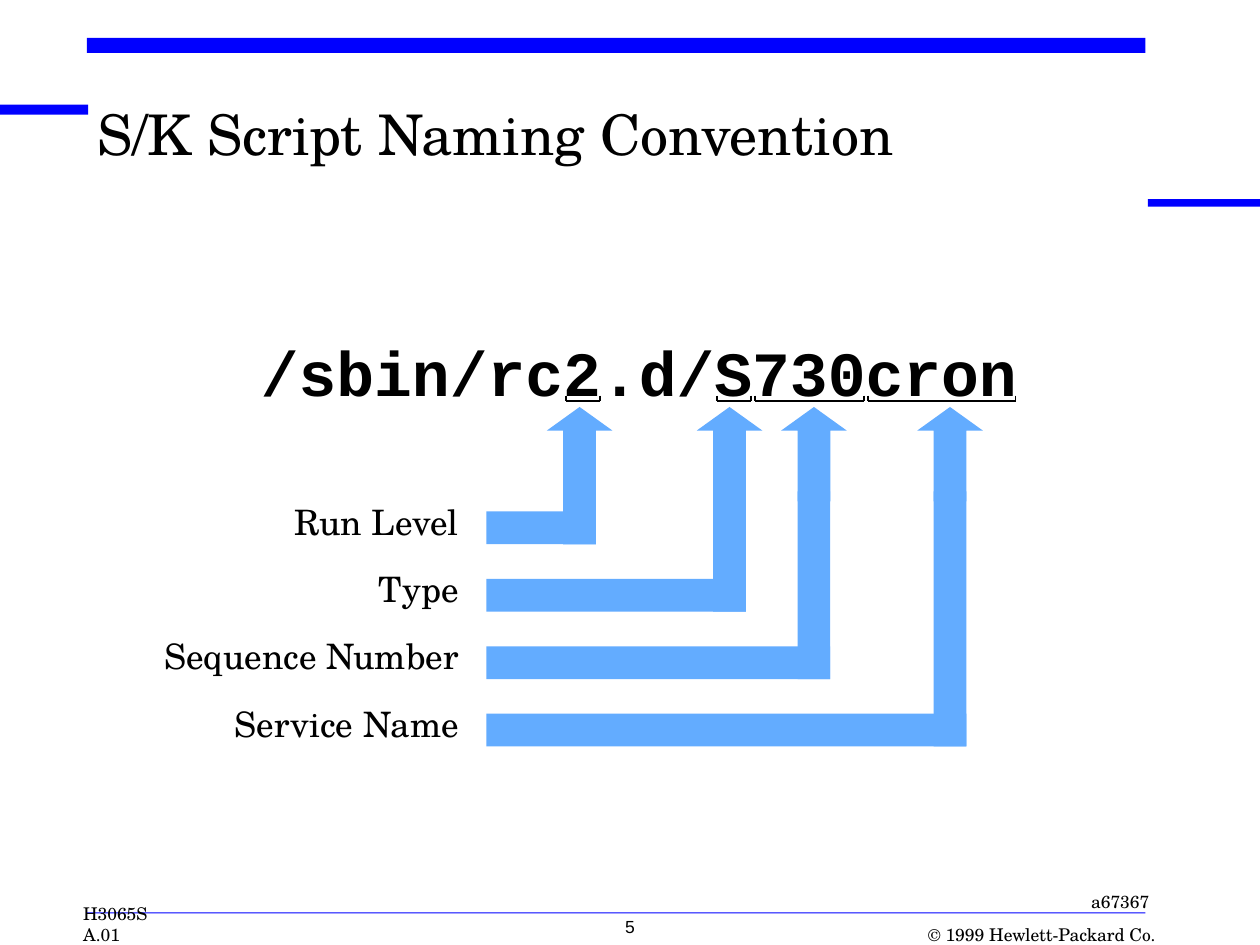
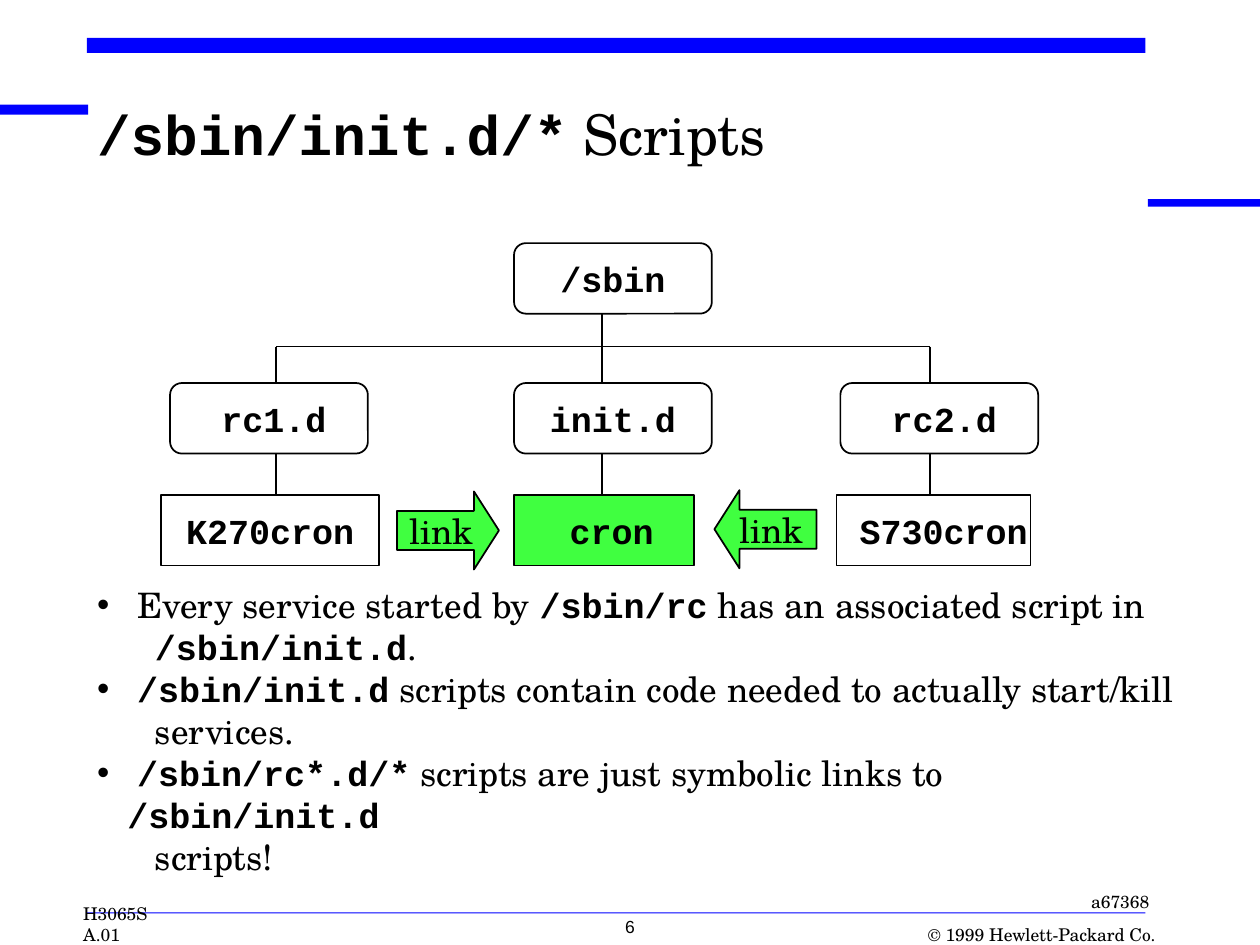
"""Build two slides on start-up script naming and the init.d directory."""
from dataclasses import dataclass

from lxml import etree
from pptx import Presentation
from pptx import util as u
from pptx.dml.color import RGBColor
from pptx.enum import shapes, text
from pptx.oxml.ns import qn

SLIDE_W, SLIDE_H = u.Inches(10), u.Inches(7.5)
CELL = SLIDE_W / 10
KIND, ALIGN, ANCHOR = shapes.MSO_SHAPE, text.PP_ALIGN, text.MSO_ANCHOR


@dataclass(frozen=True)
class Theme:
    """Hold the colours, fonts and type sizes of the deck."""
    ink: str = "000000"
    paper: str = "FFFFFF"
    band: str = "0000FF"
    pointer: str = "63ACFF"
    highlight: str = "40FF40"
    serif: str = "TeX Gyre Schola"
    mono: str = "Courier New"
    sans: str = "Arial"
    title: int = 32
    path_name: int = 36
    body: int = 20
    small: int = 10
    rule: int = 1


THEME = Theme()


def cells(*counts):
    """Turn counts of grid cells into lengths."""
    return [u.Emu(round(count * CELL)) for count in counts]


def style_font(font, size=None, face=None, bold=None):
    """Apply theme ink and the given type settings."""
    font.color.rgb = RGBColor.from_string(THEME.ink)
    if size:
        font.size = u.Pt(size)
    if face:
        font.name = face
    font.bold = bold


def set_frame(frame, insets, anchor):
    """Set wrapping, margins in cells and the vertical anchor."""
    frame.word_wrap = True
    frame.auto_size = text.MSO_AUTO_SIZE.NONE
    frame.vertical_anchor = anchor
    (frame.margin_left, frame.margin_top,
     frame.margin_right, frame.margin_bottom) = cells(*insets)


def write_line(frame, wording, size, face, align, bold=False):
    """Write a single line in one font."""
    line = frame.paragraphs[0]
    line.text = wording
    line.alignment = align
    style_font(line.font, size, face, bold)


def write_mixed(paragraph, pieces, size):
    """Write alternating prose and code; code pieces start with a slash."""
    style_font(paragraph.font, size)
    for piece in pieces:
        run = paragraph.add_run()
        run.text = piece
        is_code = piece.startswith("/")
        style_font(run.font, size, THEME.mono if is_code else THEME.serif, is_code)


def add_label(slide, place, wording, size=THEME.small, face=THEME.serif,
              align=ALIGN.LEFT, bold=False, insets=(0.1, 0.05, 0.1, 0.05),
              anchor=ANCHOR.TOP):
    """Add a one-line text box."""
    label = slide.shapes.add_textbox(*cells(*place))
    set_frame(label.text_frame, insets, anchor)
    write_line(label.text_frame, wording, size, face, align, bold)


def add_block(slide, kind, place, fill, outlined=False):
    """Add a flat preset shape."""
    block = slide.shapes.add_shape(kind, *cells(*place))
    block.shadow.inherit = False
    block.fill.solid()
    block.fill.fore_color.rgb = RGBColor.from_string(fill)
    if outlined:
        block.line.color.rgb = RGBColor.from_string(THEME.ink)
        block.line.width = u.Pt(THEME.rule)
    else:
        block.line.fill.background()
    return block


def add_rule(slide, *ends):
    """Add a thin straight line."""
    rule = slide.shapes.add_connector(shapes.MSO_CONNECTOR.STRAIGHT, *cells(*ends))
    rule.line.color.rgb = RGBColor.from_string(THEME.ink)
    rule.line.width = u.Pt(THEME.rule)
    etree.SubElement(rule._element.spPr, qn("a:effectLst"))


def add_page(deck, layout, title_pieces, code, number):
    """Start a slide with its bands, title and footer."""
    slide = deck.slides.add_slide(deck.slide_layouts[layout])
    for band in ((0, 0.83, 0.7, 0.08), (0.69, 0.3, 8.4, 0.12),
                 (9.11, 1.58, 0.89, 0.06), (0.69, 7.24, 8.4, 0.01)):
        add_block(slide, KIND.RECTANGLE, band, THEME.band)
    title = slide.shapes.title
    title.left, title.top, title.width, title.height = cells(0.77, 0.87, 8.07, 0.67)
    set_frame(title.text_frame, (0, 0, 0, 0), ANCHOR.TOP)
    heading = title.text_frame.paragraphs[0]
    heading.alignment = ALIGN.LEFT
    heading.line_spacing = 0.85
    write_mixed(heading, title_pieces, THEME.title)
    for place, wording, align in (
            ((7.3, 7.33, 1.87, 0.17), "© 1999 Hewlett-Packard Co.", ALIGN.RIGHT),
            ((0.66, 7.16, 0.7, 0.34), "H3065S A.01", ALIGN.LEFT)):
        add_label(slide, place, wording, align=align,
                  insets=(0, 0, 0, 0), anchor=ANCHOR.BOTTOM)
    add_label(slide, (8.42, 7.02, 0.8, 0.27), code, align=ALIGN.RIGHT)
    add_label(slide, (3.96, 7.22, 2.08, 0.28), str(number),
              face=THEME.sans, align=ALIGN.CENTER)
    return slide


def add_bracket(slide, first, last):
    """Underline the characters from first up to last of the path name."""
    pitch, origin, top, bottom = 0.3, 2.09, 3.14, 3.18
    left, right = origin + pitch * first, origin + pitch * last - 0.03
    add_rule(slide, left, bottom, right, bottom)
    for side in (left, right):
        add_rule(slide, side, top, side, bottom)


def add_pointer(slide, row, wording, centre):
    """Add a label and the bent arrow that rises from it."""
    thick, bar_left, tip, neck = 0.26, 3.86, 3.23, 3.9
    middle = 4.19 + 0.535 * row
    right, bottom = centre + thick / 2, middle + thick / 2
    head = add_block(slide, KIND.UP_ARROW, (centre - thick, tip, 2 * thick, 0.75),
                     THEME.pointer)
    head.adjustments[0], head.adjustments[1] = 0.5, 0.36
    add_block(slide, KIND.RECTANGLE, (right - thick, neck, thick, bottom - neck),
              THEME.pointer)
    add_block(slide, KIND.RECTANGLE,
              (bar_left, bottom - thick, right - bar_left, thick), THEME.pointer)
    add_label(slide, (0.87, middle - 0.27, 2.87, 0.44), wording,
              THEME.body, align=ALIGN.RIGHT)


def add_node(slide, kind, place, wording, fill=THEME.paper, face=THEME.mono, shift=0):
    """Add an outlined shape with its name, moved right by shift."""
    node = add_block(slide, kind, place, fill, outlined=True)
    set_frame(node.text_frame, (2 * shift, 0, 0, 0), ANCHOR.MIDDLE)
    write_line(node.text_frame, wording, THEME.body, face, ALIGN.CENTER,
               face == THEME.mono)
    return node


def add_list(slide, place, items):
    """Fill the body with bulleted items and their indented last lines."""
    body = slide.placeholders[1]
    body.left, body.top, body.width, body.height = cells(*place)
    set_frame(body.text_frame, (0.1, 0.05, 0.1, 0.05), ANCHOR.TOP)
    lines = [(pieces, bulleted) for opening, ending in items
             for pieces, bulleted in ((opening, True), (ending, False))]
    for index, (pieces, bulleted) in enumerate(lines):
        line = body.text_frame.paragraphs[0] if index == 0 else body.text_frame.add_paragraph()
        line.space_before = u.Pt(0)
        margin, hang = cells(0.24, -0.24) if bulleted else cells(0.46, 0)
        properties = line._p.get_or_add_pPr()
        properties.set("marL", str(margin))
        properties.set("indent", str(hang))
        if bulleted:
            etree.SubElement(properties, qn("a:buChar")).set("char", "•")
        else:
            etree.SubElement(properties, qn("a:buNone"))
        write_mixed(line, pieces, THEME.body)


def build_naming(deck):
    """Build the slide that explains the parts of a script name."""
    slide = add_page(deck, 5, ["S/K Script Naming Convention"], "a67367", 5)
    add_label(slide, (1.36, 2.6, 7.42, 0.7), "/sbin/rc2.d/S730cron",
              THEME.path_name, THEME.mono, ALIGN.CENTER, True)
    name_parts = (("Run Level", 4.6, 8, 9), ("Type", 5.79, 12, 13),
                  ("Sequence Number", 6.46, 13, 16), ("Service Name", 7.54, 16, 20))
    for row, (wording, centre, first, last) in enumerate(name_parts):
        add_pointer(slide, row, wording, centre)
        add_bracket(slide, first, last)


def build_scripts(deck):
    """Build the slide with the directory tree and its notes."""
    slide = add_page(deck, 1, ["/sbin/init.d/*", " Scripts"], "a67368", 6)
    root_top, folder_top, file_top, height = 1.93, 3.04, 3.93, 0.56
    branch, folder_width = 2.75, 1.57
    trunks = left_trunk, middle_trunk, right_trunk = 2.19, 4.78, 7.38
    add_rule(slide, left_trunk, branch, right_trunk, branch)
    add_rule(slide, middle_trunk, root_top + height, middle_trunk, branch)
    for trunk in trunks:
        add_rule(slide, trunk, branch, trunk, file_top)
    for name, left, top, shift in (("/sbin", 4.08, root_top, 0),
                                   ("rc1.d", 1.35, folder_top, 0.04),
                                   ("init.d", 4.08, folder_top, 0),
                                   ("rc2.d", 6.67, folder_top, 0.04)):
        add_node(slide, KIND.ROUNDED_RECTANGLE, (left, top, folder_width, height),
                 name, shift=shift)
    for name, left, width, fill, shift in (
            ("K270cron", 1.28, 1.73, THEME.paper, 0),
            ("cron", 4.08, 1.43, THEME.highlight, 0.06),
            ("S730cron", 6.64, 1.54, THEME.paper, 0.08)):
        add_node(slide, KIND.RECTANGLE, (left, file_top, width, height),
                 name, fill, shift=shift)
    for kind, left, top in ((KIND.RIGHT_ARROW, 3.15, 3.9), (KIND.LEFT_ARROW, 5.67, 3.89)):
        link = add_node(slide, kind, (left, top, 0.81, 0.62), "link",
                        THEME.highlight, THEME.serif)
        link.adjustments[0], link.adjustments[1] = 0.5, 0.32
    add_list(slide, (0.67, 4.58, 8.86, 2.44), (
        ([" Every service started by ", "/sbin/rc", " has an associated script in"],
         ["/sbin/init.d", "."]),
        ([" ", "/sbin/init.d", " scripts contain code needed to actually start/kill"],
         ["services."]),
        ([" ", "/sbin/rc*.d/*", " scripts are just symbolic links to ", "/sbin/init.d "],
         ["scripts!"])))


def main():
    """Build and save the deck."""
    deck = Presentation()
    deck.slide_width, deck.slide_height = SLIDE_W, SLIDE_H
    build_naming(deck)
    build_scripts(deck)
    deck.save("out.pptx")


if __name__ == "__main__":
    main()
